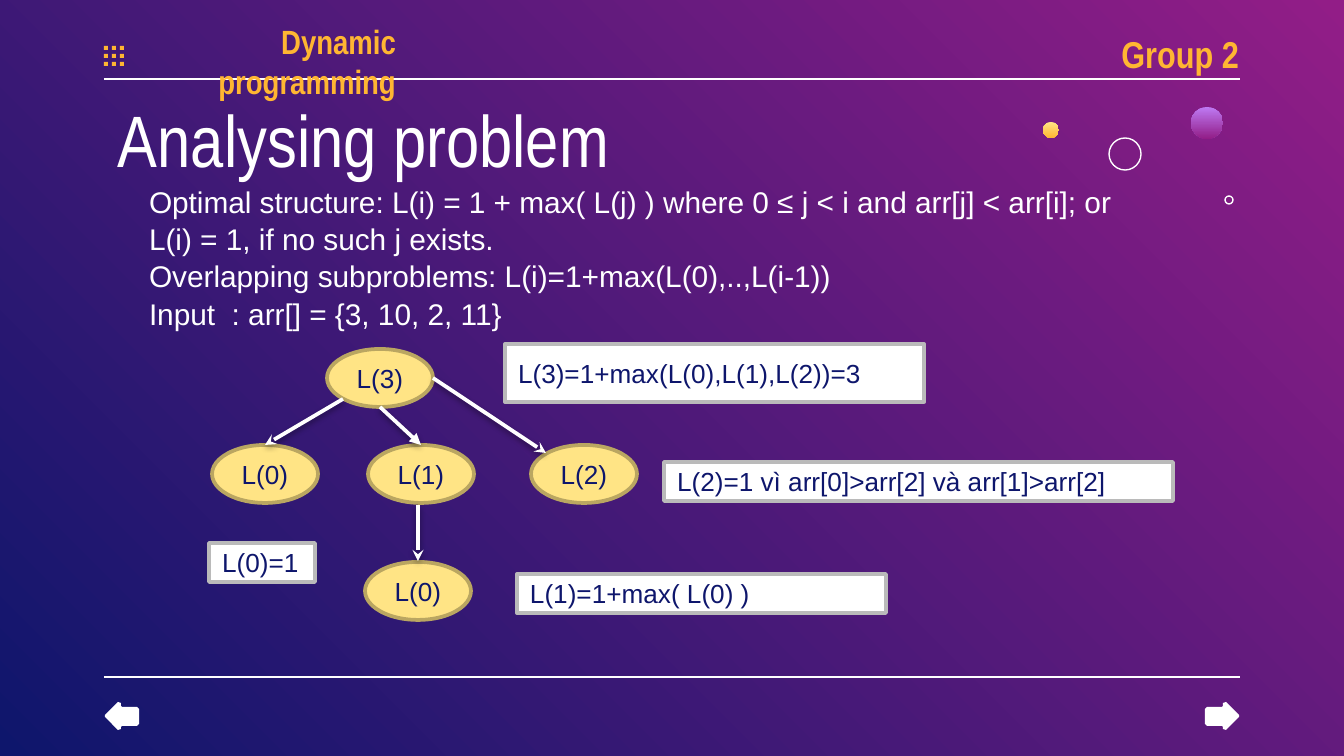
import pptx
import pptx.util
import pptx.dml.color
import pptx.enum.shapes
import pptx.enum.text
import pptx.oxml

EMU_PER_PX = 914400 / 134.4
COLORS = {
    "white": "FFFFFF", "navy": "0E166C", "magenta": "921D87", "orange": "FFB632",
    "yellow": "FFE485", "gold": "BAA661", "grey": "BABABA", "violet": "BE7AF3",
}
KINDS = pptx.enum.shapes.MSO_SHAPE
ALIGN = pptx.enum.text.PP_ALIGN
ANCHOR = pptx.enum.text.MSO_ANCHOR
STRAIGHT = pptx.enum.shapes.MSO_CONNECTOR.STRAIGHT
NAMESPACE = 'xmlns:a="http://schemas.openxmlformats.org/drawingml/2006/main"'


def px(*lengths):
    """Turn pixel lengths into a list of EMU."""
    return [pptx.util.Emu(round(length * EMU_PER_PX)) for length in lengths]


def write(shape, text, size, color, align=ALIGN.LEFT, anchor=ANCHOR.TOP,
          margins=(13, 13, 13, 13), font="Arial", bold=False, spacing=None):
    """Fill a shape with text; margins are left, top, right, bottom."""
    frame = shape.text_frame
    frame.text = text
    frame.word_wrap = True
    frame.auto_size = pptx.enum.text.MSO_AUTO_SIZE.NONE
    frame.vertical_anchor = anchor
    (frame.margin_left, frame.margin_top,
     frame.margin_right, frame.margin_bottom) = px(*margins)
    for para in frame.paragraphs:
        para.alignment = align
        para.line_spacing = spacing
        for span in para.runs:
            span.font.size = pptx.util.Pt(size)
            span.font.name = font
            span.font.bold = bold
            span.font.color.rgb = rgb[color]


rgb = {name: pptx.dml.color.RGBColor.from_string(code) for name, code in COLORS.items()}

deck = pptx.Presentation()
deck.slide_width, deck.slide_height = px(1344, 756)
page = deck.slides.add_slide(deck.slide_layouts[5])
shapes = page.shapes

# Background
backdrop = page.background.fill
backdrop.gradient()
backdrop.gradient_angle = 225
for stop, color in zip(backdrop.gradient_stops, ("magenta", "navy")):
    stop.color.rgb = rgb[color]
for stop, position in zip(backdrop.gradient_stops, (0, 1)):
    stop.position = position

# Header and footer rules
for y in (79, 677):
    rule = shapes.add_connector(STRAIGHT, *px(104, y, 1240, y))
    rule.line.color.rgb = rgb["white"]
    rule.line.width = pptx.util.Pt(0.75)
    rule._element.spPr.append(pptx.oxml.parse_xml(f"<a:effectLst {NAMESPACE}/>"))

# Title and body
title = shapes.title
title.left, title.top, title.width, title.height = px(105, 82, 1134, 89)
write(title, "Analysing problem", 39, "white", font="Arial Narrow")

body = shapes.add_textbox(*px(136, 169, 1005, 577))
write(body, "Optimal structure: L(i) = 1 + max( L(j) ) where 0 ≤ j < i and arr[j] < arr[i]; "
      "or L(i) = 1, if no such j exists.\n"
      "Overlapping subproblems: L(i)=1+max(L(0),..,L(i-1))\n"
      "Input  : arr[] = {3, 10, 2, 11}", 16, "white", spacing=1.04)

# Decorative circles: left, top, diameter, gradient (None for an outline)
for x, y, diameter, gradient in (
    (1109, 138, 32, None),
    (1043, 122, 16, ("yellow", "orange")),
    (1225, 196, 8, None),
    (1191, 107, 32, ("violet", "magenta")),
):
    circle = shapes.add_shape(KINDS.OVAL, *px(x, y, diameter, diameter))
    circle.shadow.inherit = False
    if gradient:
        circle.fill.gradient()
        circle.fill.gradient_angle = 270
        for position, (stop, color) in enumerate(zip(circle.fill.gradient_stops, gradient)):
            stop.color.rgb = rgb[color]
            stop.position = position
        circle.line.fill.background()
    else:
        circle.fill.background()
        circle.line.color.rgb = rgb["white"]
        circle.line.width = pptx.util.Pt(0.75)

# Navigation arrows, the right one mirrored from the left one
left_arrow = [(118, 730), (105, 717), (105, 715), (118, 702), (121, 703), (121, 706),
              (122, 707), (137, 707), (139, 709), (139, 724), (137, 726), (122, 726),
              (121, 727), (121, 729)]
right_arrow = [(1344 - x, y) for x, y in left_arrow]
for outline in (right_arrow, left_arrow):
    builder = shapes.build_freeform(*outline[0], scale=EMU_PER_PX)
    builder.add_line_segments(outline[1:], close=True)
    arrow = builder.convert_to_shape()
    arrow.shadow.inherit = False
    arrow.fill.solid()
    arrow.fill.fore_color.rgb = rgb["white"]
    arrow.line.fill.background()

# Three by three dots
dots = shapes.add_group_shape()
for column in range(3):
    for row in range(3):
        dot = dots.shapes.add_shape(KINDS.RECTANGLE,
                                    *px(104 + 8 * column, 46 + 8 * row, 4, 4))
        dot.shadow.inherit = False
        dot.fill.solid()
        dot.fill.fore_color.rgb = rgb["orange"]
        dot.line.fill.background()

# Header labels
for text, size, bounds in (
    ("Dynamic programming", 18, (106, 40, 290, 42)),
    ("Group 2", 20, (1038, 31, 201, 45)),
):
    label = shapes.add_textbox(*px(*bounds))
    write(label, text, size, "orange", ALIGN.RIGHT, ANCHOR.MIDDLE,
          (13, 13, 0, 13), "Arial Narrow", True)

# Call tree nodes and result boxes
OVAL, RECTANGLE = KINDS.OVAL, KINDS.RECTANGLE
styles = {OVAL: ("yellow", "gold", ALIGN.CENTER), RECTANGLE: ("white", "grey", ALIGN.LEFT)}
boxes = []
for kind, text, bounds in (
    (OVAL, "L(3)", (327, 349, 106, 58)),
    (OVAL, "L(0)", (212, 445, 106, 58)),
    (OVAL, "L(1)", (368, 445, 106, 58)),
    (OVAL, "L(2)", (531, 445, 106, 58)),
    (OVAL, "L(0)", (365, 562, 106, 58)),
    (RECTANGLE, "L(2)=1 vì arr[0]>arr[2] và arr[1]>arr[2]", (664, 462, 509, 39)),
    (RECTANGLE, "L(1)=1+max( L(0) )", (517, 574, 369, 39)),
    (RECTANGLE, "L(3)=1+max(L(0),L(1),L(2))=3", (505, 344, 419, 58)),
    (RECTANGLE, "L(0)=1", (209, 543, 106, 39)),
):
    fill, line, align = styles[kind]
    box = shapes.add_shape(kind, *px(*bounds))
    box.shadow.inherit = False
    box.fill.solid()
    box.fill.fore_color.rgb = rgb[fill]
    box.line.color.rgb = rgb[line]
    box.line.width = pptx.util.Pt(2)
    write(box, text, 14, "navy", align, ANCHOR.MIDDLE, (13, 7, 13, 7))
    boxes.append(box)

# Tree edges: ends, arrowhead, node joined at its top
for ends, head, child in (
    ((343, 399, 265, 445), "stealth", boxes[1]),
    ((380, 407, 421, 445), "triangle", boxes[2]),
    ((433, 378, 546, 453), "stealth", None),
    ((418, 505, 418, 561), "stealth", None),
):
    edge = shapes.add_connector(STRAIGHT, *px(*ends))
    if child is not None:
        edge.end_connect(child, 0)
    edge.line.color.rgb = rgb["white"]
    edge.line.width = pptx.util.Pt(2)
    edge.line._get_or_add_ln().append(
        pptx.oxml.parse_xml(f'<a:tailEnd {NAMESPACE} type="{head}"/>'))
    edge._element.spPr.append(pptx.oxml.parse_xml(
        f'<a:effectLst {NAMESPACE}><a:outerShdw blurRad="40000" dist="20000" dir="5400000" '
        'rotWithShape="0"><a:srgbClr val="000000"><a:alpha val="38000"/></a:srgbClr>'
        '</a:outerShdw></a:effectLst>'))

deck.save("out.pptx")
